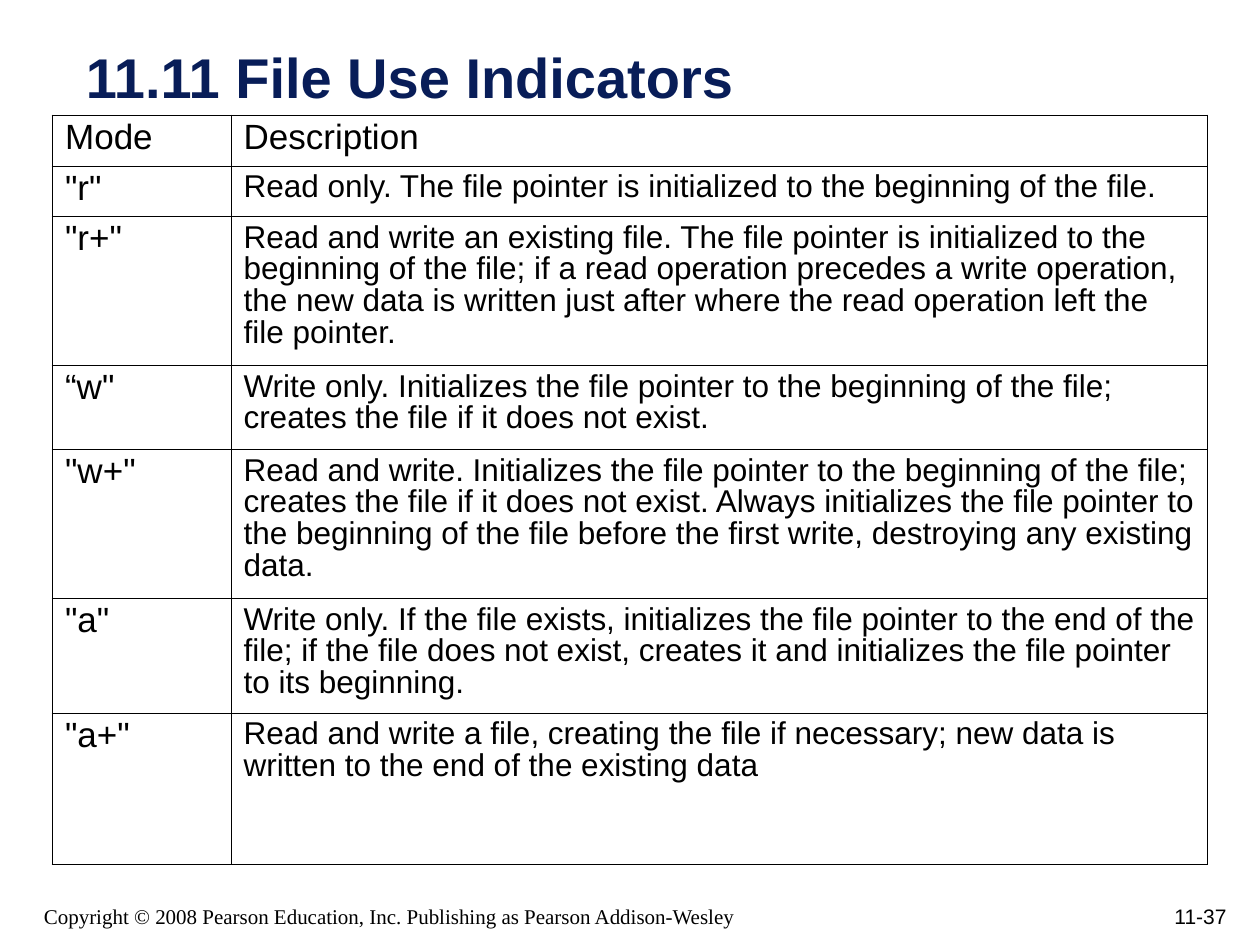
import pptx
import pptx.dml.color
import pptx.enum.text
import pptx.oxml
import pptx.oxml.ns
import pptx.util

COLORS = {"text": "000000", "title": "081D58", "border": "000000"}
GRID_UNIT = pptx.util.Inches(1 / 12)
SLIDE_COLUMNS, SLIDE_ROWS = 120, 90
MODE_COLUMNS, DESCRIPTION_COLUMNS = 17, 93
OUTER_BORDER, INNER_BORDER = 1.08, 0.45

MODES = [
    ("Mode", "Description", 4.8),
    ('"r"', "Read only. The file pointer is initialized to the beginning of the file.", 4.8),
    ('"r+"', "Read and write an existing file. The file pointer is initialized to the "
     "beginning of the file; if a read operation precedes a write operation, the new data "
     "is written just after where the read operation left the file pointer.", 14.2),
    ('“w"', "Write only. Initializes the file pointer to the beginning of the file; "
     "creates the file if it does not exist.", 8),
    ('"w+"', "Read and write. Initializes the file pointer to the beginning of the file; "
     "creates the file if it does not exist. Always initializes the file pointer to the "
     "beginning of the file before the first write, destroying any existing data.", 14.2),
    ('"a"', "Write only. If the file exists, initializes the file pointer to the end of the "
     "file; if the file does not exist, creates it and initializes the file pointer to its "
     "beginning.", 10.9),
    ('"a+"', "Read and write a file, creating the file if necessary; new data is written "
     "to the end of the existing data", 14.4),
]


def grid(count):
    """Return the length of a number of grid units."""
    return round(count * GRID_UNIT)


def style_paragraph(paragraph, size, font="Arial", color="text", bold=False):
    """Set the font of a paragraph."""
    paragraph.font.name = font
    paragraph.font.size = pptx.util.Pt(size)
    paragraph.font.bold = bold
    paragraph.font.color.rgb = pptx.dml.color.RGBColor.from_string(COLORS[color])


def add_line_of_text(slide, box, text, size, align="LEFT", **style):
    """Add a bottom-anchored text box in the given grid box."""
    shape = slide.shapes.add_textbox(*map(grid, box))
    frame = shape.text_frame
    frame.word_wrap = True
    frame.vertical_anchor = pptx.enum.text.MSO_ANCHOR.BOTTOM
    paragraph = frame.paragraphs[0]
    paragraph.text = text
    paragraph.alignment = getattr(pptx.enum.text.PP_ALIGN, align)
    style_paragraph(paragraph, size, **style)


def set_borders(cell, widths):
    """Draw the left, right, top and bottom borders of a cell."""
    properties = cell._tc.get_or_add_tcPr()
    for index, (side, width) in enumerate(zip("LRTB", widths)):
        border = pptx.oxml.parse_xml(
            f'<a:ln{side} {pptx.oxml.ns.nsdecls("a")} w="{pptx.util.Pt(width)}">'
            f'<a:solidFill><a:srgbClr val="{COLORS["border"]}"/></a:solidFill></a:ln{side}>')
        properties.insert(index, border)


def fill_cell(cell, text, size, border_widths):
    """Write and style one table cell."""
    cell.text = text
    cell.fill.background()
    paragraph = cell.text_frame.paragraphs[0]
    paragraph.line_spacing = 0.9
    style_paragraph(paragraph, size)
    set_borders(cell, border_widths)


def add_mode_table(slide, box):
    """Add the table of file modes in the given grid box."""
    table = slide.shapes.add_table(len(MODES), 2, *map(grid, box)).table
    table.first_row = table.horz_banding = False
    table.columns[0].width = grid(MODE_COLUMNS)
    table.columns[1].width = grid(DESCRIPTION_COLUMNS)
    last = len(MODES) - 1
    for row, (mode, description, height) in enumerate(MODES):
        table.rows[row].height = grid(height)
        top = OUTER_BORDER if row == 0 else INNER_BORDER
        bottom = OUTER_BORDER if row == last else INNER_BORDER
        fill_cell(table.cell(row, 0), mode, 20, (OUTER_BORDER, INNER_BORDER, top, bottom))
        fill_cell(table.cell(row, 1), description, 20 if row == 0 else 18,
                  (INNER_BORDER, OUTER_BORDER, top, bottom))


def add_footer(slide, left, top, width, height):
    """Add the copyright line and the page number along the given band."""
    number_width = 25
    add_line_of_text(slide, (left + width - number_width, top, number_width, height - 1),
                     "11-37", 12, align="RIGHT")
    add_line_of_text(slide, (left, top + 1, 73, height - 2),
                     "Copyright © 2008 Pearson Education, Inc. Publishing as Pearson Addison-Wesley",
                     12, font="Times New Roman")


def main():
    """Build and save the slide."""
    presentation = pptx.Presentation()
    presentation.slide_width = grid(SLIDE_COLUMNS)
    presentation.slide_height = grid(SLIDE_ROWS)
    slide = presentation.slides.add_slide(presentation.slide_layouts[6])
    add_footer(slide, 3, 83, 115, 7)
    add_line_of_text(slide, (7, 4, 113, 7), "11.11 File Use Indicators", 32,
                     color="title", bold=True)
    add_mode_table(slide, (5, 11, MODE_COLUMNS + DESCRIPTION_COLUMNS,
                           sum(height for _, _, height in MODES)))
    presentation.save("out.pptx")


if __name__ == "__main__":
    main()
